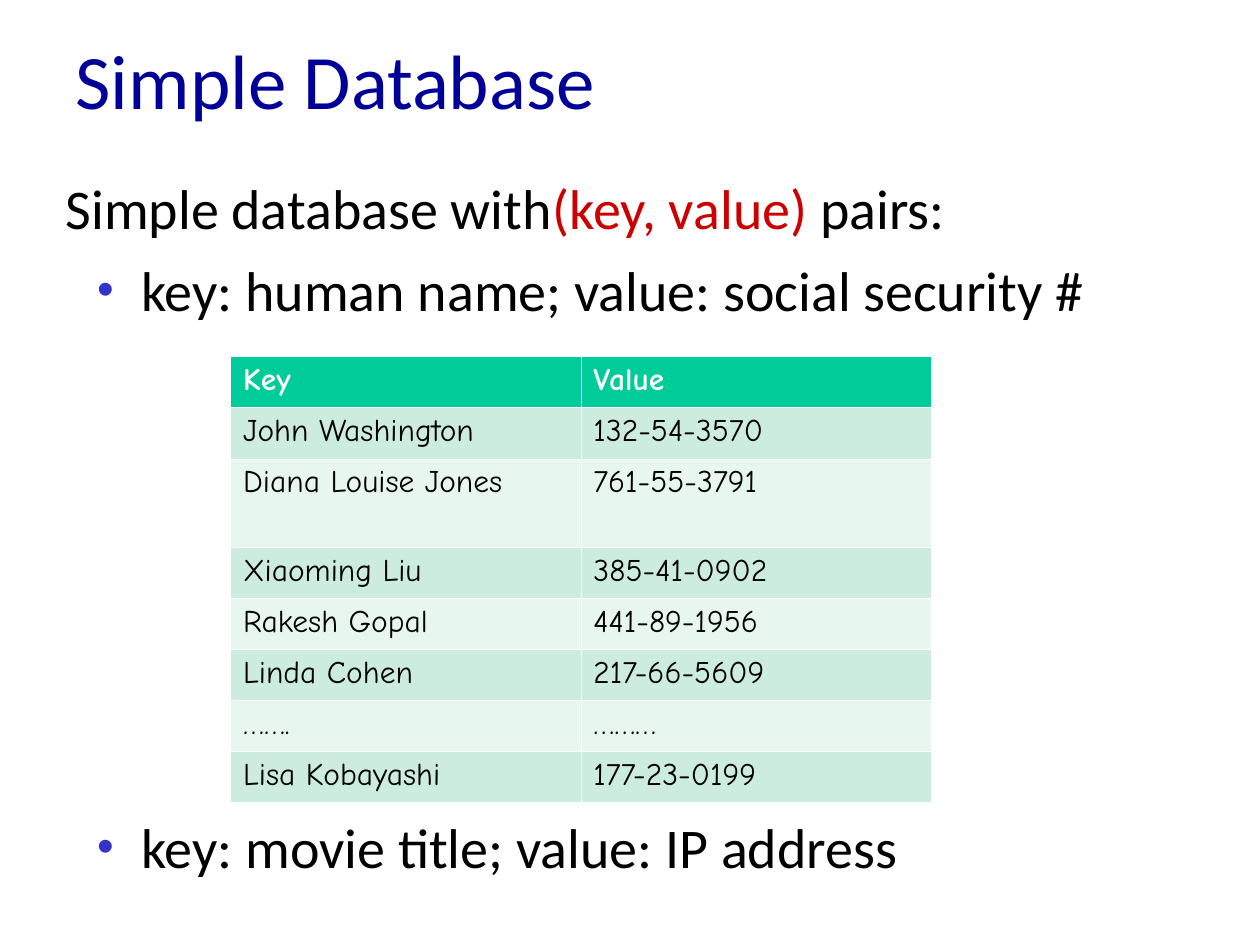
from dataclasses import dataclass

from lxml.etree import SubElement
from pptx import Presentation
from pptx.dml.color import RGBColor
from pptx.enum.text import MSO_ANCHOR as Anchor, MSO_AUTO_SIZE as AutoSize, PP_ALIGN as Align
from pptx.oxml.ns import qn
from pptx.util import Inches, Pt

BODY_FONT, TABLE_FONT = "Calibri", "Comic Neue"
BLACK, WHITE, NAVY, RED, BLUE = "000000", "FFFFFF", "000099", "CC0000", "3333CC"
HEADER_FILL, BAND_FILLS = "00CC99", ("E7F6EF", "CBECDE")
THIN, THICK = 0.11, 0.34


@dataclass
class Box:
    left: float
    top: float
    width: float
    height: float


@dataclass
class Record:
    key: str
    value: str
    height: float = 2.84 / 7


RECORDS = [
    Record("Key", "Value"),
    Record("John Washington", "132-54-3570"),
    Record("Diana Louise Jones", "761-55-3791", height=0.7),
    Record("Xiaoming Liu", "385-41-0902"),
    Record("Rakesh Gopal", "441-89-1956"),
    Record("Linda Cohen", "217-66-5609"),
    Record("…….", "………"),
    Record("Lisa Kobayashi", "177-23-0199"),
]


def rgb(color: str) -> RGBColor:
    return RGBColor.from_string(color)


def add_text(paragraph, text: str, *, size: float = 32, font: str = BODY_FONT,
             color: str = BLACK, bold: bool = False) -> None:
    run = paragraph.add_run()
    run.text = text
    run.font.size, run.font.name, run.font.bold = Pt(size), font, bold
    run.font.color.rgb = rgb(color)


def place(shape, box: Box, anchor) -> None:
    """Move a placeholder and fix how its text sits."""
    shape.left, shape.top = Inches(box.left), Inches(box.top)
    shape.width, shape.height = Inches(box.width), Inches(box.height)
    frame = shape.text_frame
    frame.word_wrap, frame.auto_size, frame.vertical_anchor = True, AutoSize.NONE, anchor


def set_bullet(paragraph, bulleted: bool) -> None:
    properties = paragraph._p.get_or_add_pPr()
    left, hanging = (0.6, -0.35) if bulleted else (0, 0)
    properties.set("marL", str(Inches(left)))
    properties.set("indent", str(Inches(hanging)))
    if not bulleted:
        SubElement(properties, qn("a:buNone"))
        return
    paragraph.level = 1
    color = SubElement(properties, qn("a:buClr"))
    SubElement(color, qn("a:srgbClr"), val=BLUE)
    SubElement(properties, qn("a:buSzPct"), val="85000")
    SubElement(properties, qn("a:buFont"), typeface="Arial")
    SubElement(properties, qn("a:buChar"), char="•")


def add_item(paragraph, *parts: tuple[str, str], bulleted: bool = True,
             space_before: float = 0) -> None:
    set_bullet(paragraph, bulleted)
    paragraph.space_before = Pt(space_before)
    for text, color in parts:
        add_text(paragraph, text, color=color)


def set_borders(cell, top: float, bottom: float) -> None:
    properties = cell._tc.get_or_add_tcPr()
    for side, width in (("L", THIN), ("R", THIN), ("T", top), ("B", bottom)):
        line = SubElement(properties, qn(f"a:ln{side}"), w=str(Pt(width)))
        fill = SubElement(line, qn("a:solidFill"))
        SubElement(fill, qn("a:srgbClr"), val=WHITE)


def add_record_table(slide, records: list[Record], box: Box) -> None:
    frame = slide.shapes.add_table(len(records), 2, Inches(box.left), Inches(box.top),
                                   Inches(box.width), Inches(box.height))
    table = frame.table
    for index, record in enumerate(records):
        table.rows[index].height = Inches(record.height)
        header = index == 0
        for column, text in enumerate((record.key, record.value)):
            cell = table.cell(index, column)
            set_borders(cell, top=THICK if index == 1 else THIN,
                        bottom=THICK if header else THIN)
            cell.fill.solid()
            cell.fill.fore_color.rgb = rgb(HEADER_FILL if header else BAND_FILLS[index % 2])
            paragraph = cell.text_frame.paragraphs[0]
            paragraph.line_spacing = 0.96
            add_text(paragraph, text, size=18, font=TABLE_FONT,
                     color=WHITE if header else BLACK, bold=header)


def main() -> None:
    presentation = Presentation()
    presentation.slide_width, presentation.slide_height = Inches(10), Inches(7.5)
    slide = presentation.slides.add_slide(presentation.slide_layouts.get_by_name("Two Content"))
    title, upper_list, lower_list = list(slide.placeholders)[:3]

    # Title
    place(title, Box(0.5, 0, 9, 1.25), Anchor.MIDDLE)
    heading = title.text_frame.paragraphs[0]
    heading.alignment = Align.LEFT
    add_text(heading, "Simple Database", size=44, color=NAVY)

    # Statement and first example, above the table
    place(upper_list, Box(0.42, 1.33, 9.58, 1.4), Anchor.TOP)
    add_item(upper_list.text_frame.paragraphs[0], ("Simple database with", BLACK),
             ("(key, value) ", RED), ("pairs:", BLACK), bulleted=False)
    add_item(upper_list.text_frame.add_paragraph(),
             ("key: human name; value: social security #", BLACK), space_before=8)

    # Key and value table
    add_record_table(slide, RECORDS, Box(1.83, 2.83, 5.56, 3.54))

    # Second example, below the table
    place(lower_list, Box(0.42, 6.4, 9.58, 0.7), Anchor.TOP)
    add_item(lower_list.text_frame.paragraphs[0],
             ("key: movie title; value: IP address", BLACK))

    presentation.save("out.pptx")


if __name__ == "__main__":
    main()
